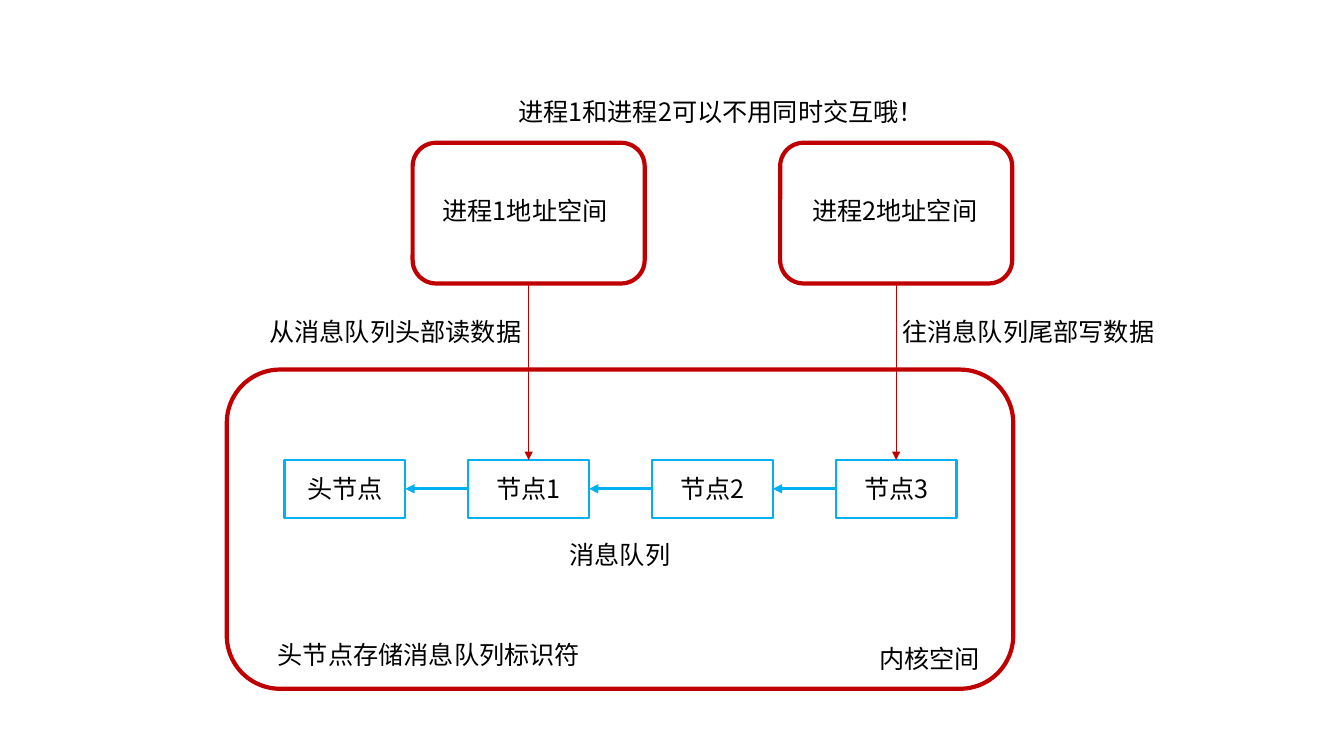
from pptx import Presentation
from pptx import util as u
from pptx.dml.color import RGBColor
from pptx.enum import shapes, text
from pptx.oxml import ns
from lxml import etree

PX = 9525
RED, BLUE, WHITE, BLACK = "C00000", "00B0F0", "FFFFFF", "000000"
FONT = "Noto Sans CJK SC"


def px(*nums):
    return [u.Emu(n * PX) for n in nums]


def paint(fmt, hue):
    if hasattr(fmt, "solid"):
        fmt.solid()
        fmt = fmt.fore_color
    fmt.rgb = RGBColor.from_string(hue)


def write(frame, words, size=18, hue=BLACK, font=FONT,
          align=text.PP_ALIGN.LEFT, anchor=text.MSO_ANCHOR.TOP):
    frame.word_wrap = True
    frame.vertical_anchor = anchor
    para = frame.paragraphs[0]
    para.alignment = align
    run = para.add_run()
    run.text = words
    run.font.size = u.Pt(size)
    paint(run.font.fill, hue)
    run.font.name = font
    east = etree.SubElement(run._r.get_or_add_rPr(), ns.qn("a:ea"))
    east.set("typeface", font)


class Board:
    def __init__(self, deck):
        self.slide = deck.slides.add_slide(deck.slide_layouts[6])
        self.items = self.slide.shapes

    def box(self, kind, place, hue, width):
        shape = self.items.add_shape(kind, *px(*place))
        shape.shadow.inherit = False
        paint(shape.fill, WHITE)
        paint(shape.line.fill, hue)
        shape.line.width = u.Pt(width)
        return shape

    def space(self, *place):
        return self.box(shapes.MSO_SHAPE.ROUNDED_RECTANGLE, place, RED, 3)

    def node(self, words, *place):
        shape = self.box(shapes.MSO_SHAPE.RECTANGLE, place, BLUE, 1.5)
        write(shape.text_frame, words, align=text.PP_ALIGN.CENTER,
              anchor=text.MSO_ANCHOR.MIDDLE)
        return shape

    def label(self, words, left, top, width):
        frame = self.items.add_textbox(*px(left, top, width, 39)).text_frame
        write(frame, words)
        frame.auto_size = text.MSO_AUTO_SIZE.SHAPE_TO_FIT_TEXT

    def arrow(self, start, side, end, goal, hue, width):
        line = self.items.add_connector(
            shapes.MSO_CONNECTOR.STRAIGHT, 0, 0, 0, 0)
        line.begin_connect(start, side)
        line.end_connect(end, goal)
        paint(line.line.fill, hue)
        line.line.width = u.Pt(width)
        tip = etree.SubElement(line.line._get_or_add_ln(), ns.qn("a:tailEnd"))
        tip.set("type", "triangle")
        etree.SubElement(line._element.spPr, ns.qn("a:effectLst"))


def main():
    deck = Presentation()
    deck.slide_width, deck.slide_height = px(1280, 720)
    board = Board(deck)

    reader = board.space(393, 136, 221, 134)
    board.space(216, 352, 749, 304)
    writer = board.space(743, 136, 221, 134)

    names = ["头节点", "节点1", "节点2", "节点3"]
    nodes = [board.node(name, 271 + 175 * i, 438, 115, 55)
             for i, name in enumerate(names)]
    for left, right in zip(nodes, nodes[1:]):
        board.arrow(right, 1, left, 3, BLUE, 2.25)
    for start, end in [(reader, nodes[1]), (writer, nodes[3])]:
        board.arrow(start, 2, end, 0, RED, 0.5)

    for label in [
        ("进程1地址空间", 412, 181, 178),
        ("进程2地址空间", 764, 181, 178),
        ("内核空间", 828, 608, 117),
        ("消息队列", 533, 509, 117),
        ("头节点存储消息队列标识符", 255, 604, 310),
        ("从消息队列头部读数据", 247, 297, 262),
        ("往消息队列尾部写数据", 850, 297, 266),
        ("进程1和进程2可以不用同时交互哦！", 484, 87, 409),
    ]:
        board.label(*label)

    deck.save("out.pptx")


if __name__ == "__main__":
    main()
